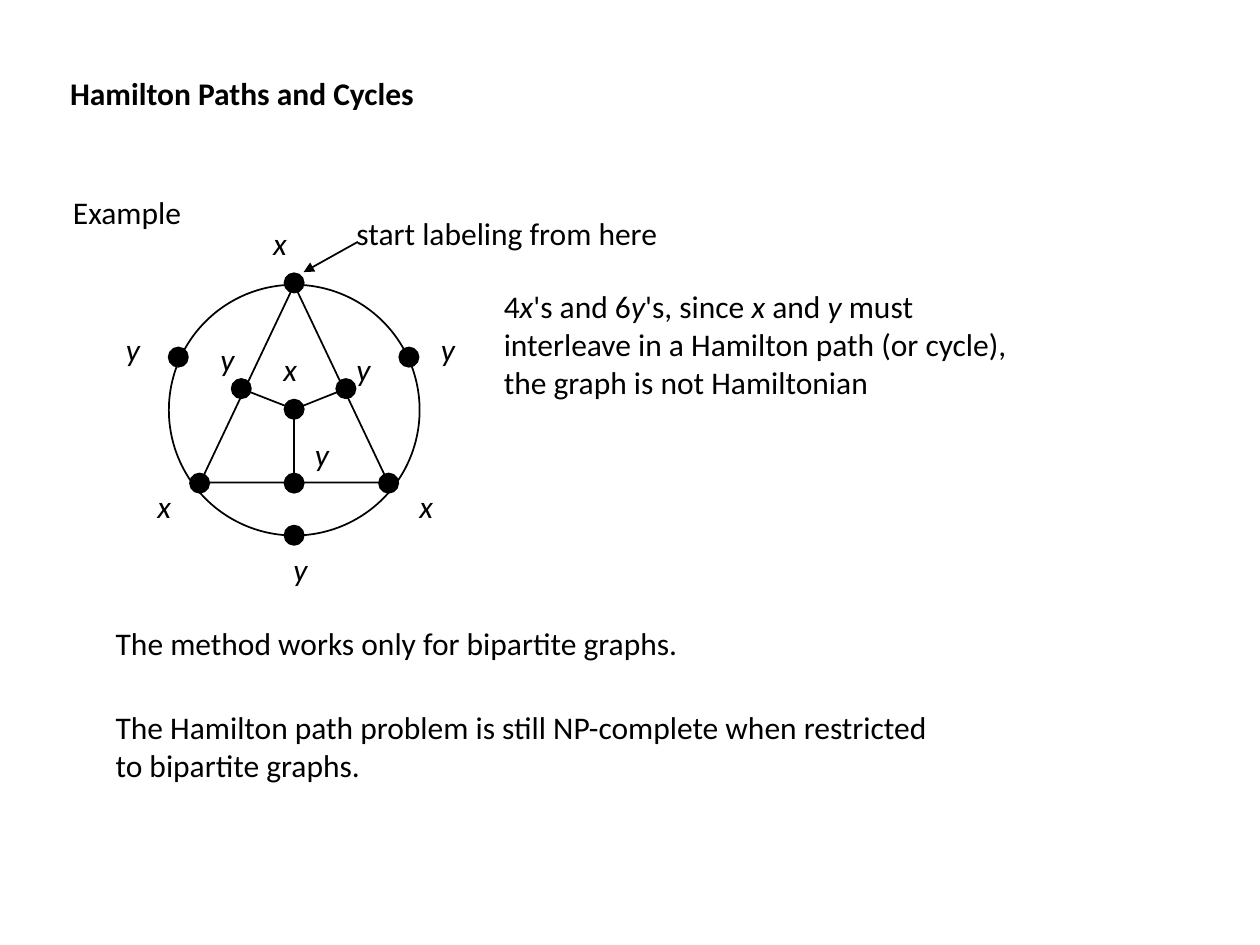
import pptx
import pptx.util
import pptx.dml.color
import pptx.enum.shapes
import pptx.enum.text
import pptx.oxml.ns
from lxml import etree

Pt = pptx.util.Pt
SHAPE = pptx.enum.shapes.MSO_SHAPE
COLORS = {"ink": "000000"}
TEXT = {"name": "Calibri", "size": Pt(18)}
FRAME = {"word_wrap": False,
         "auto_size": pptx.enum.text.MSO_AUTO_SIZE.SHAPE_TO_FIT_TEXT}
DOT = 11

# Dot centres of the graph
NODES = {
    "top": (168.1, 161.7), "left": (114.1, 276.1), "right": (222.1, 276.1),
    "base": (168.1, 276.1), "hub": (168.1, 233.9), "bottom": (168.1, 305.9),
    "outer left": (101.9, 204.1), "outer right": (233.7, 204.1),
    "inner right": (197.7, 222.1), "inner left": (137.9, 222.1),
}
SPOKES = ["inner left", "inner right", "base"]

# Vertex letters with the left and top of their boxes
LABELS = [
    ("x", 149, 124.6), ("y", 244.8, 185), ("y", 64.8, 185),
    ("y", 118.8, 190.8), ("y", 196.6, 196.6), ("x", 82.8, 275),
    ("x", 232.6, 275), ("x", 154.8, 196.6), ("y", 172.8, 244.8),
    ("y", 160.6, 311),
]

# Other text: left, top, width, height, bold, lines (*...* is italic)
NOTES = [
    (33, 38.9, 213, 28.8, True, ["Hamilton Paths and Cycles"]),
    (34.6, 106.6, 77, 28.8, False, ["Example"]),
    (196.6, 118.8, 238.3, 36, False, ["start labeling from here"]),
    (280.8, 160.6, 398.2, 93.6, False, [
        "4*x*'s and 6*y*'s, since *x* and *y* must",
        "interleave in a Hamilton path (or cycle),",
        "the graph is not Hamiltonian"]),
    (59, 352.8, 438.5, 36, False,
     ["The method works only for bipartite graphs."]),
    (59, 401, 630.7, 64.8, False, [
        "The Hamilton path problem is still NP-complete when restricted",
        "to bipartite graphs."]),
]


def set_all(obj, values):
    for name, value in values.items():
        setattr(obj, name, value)


def color(name):
    return pptx.dml.color.RGBColor.from_string(COLORS[name])


def add_text(s, left, top, width, height, bold, lines):
    tf = s.shapes.add_textbox(Pt(left), Pt(top), Pt(width), Pt(height)).text_frame
    set_all(tf, FRAME)
    for i, line in enumerate(lines):
        p = tf.add_paragraph() if i else tf.paragraphs[0]
        for j, part in enumerate(line.split("*")):
            if part:
                r = p.add_run()
                r.text = part
                set_all(r.font, {**TEXT, "bold": bold, "italic": j % 2 == 1})
                r.font.color.rgb = color("ink")


def add_shape(s, kind, left, top, width, height, filled=False):
    sp = s.shapes.add_shape(kind, Pt(left), Pt(top), Pt(width), Pt(height))
    sp.shadow.inherit = False
    if filled:
        sp.fill.solid()
        sp.fill.fore_color.rgb = color("ink")
    else:
        sp.fill.background()
    sp.line.color.rgb = color("ink")
    sp.line.width = Pt(1)


def add_line(s, start, end, arrow=False):
    line = s.shapes.add_connector(pptx.enum.shapes.MSO_CONNECTOR.STRAIGHT,
                                  *[Pt(v) for v in start + end])
    line.line.color.rgb = color("ink")
    line.line.width = Pt(1)
    qn = pptx.oxml.ns.qn
    if arrow:
        etree.SubElement(line.line._get_or_add_ln(), qn("a:tailEnd"), type="triangle")
    etree.SubElement(line._element.spPr, qn("a:effectLst"))


def main():
    prs = pptx.Presentation()
    set_all(prs, {"slide_width": Pt(720), "slide_height": Pt(540)})
    s = prs.slides.add_slide(prs.slide_layouts[6])

    # Graph: outer cycle, triangle, vertices and spokes
    add_shape(s, SHAPE.OVAL, 96.5, 162.7, 143.3, 143.3)
    add_shape(s, SHAPE.ISOSCELES_TRIANGLE, 114.5, 162.7, 107.3, 113)
    for x, y in NODES.values():
        add_shape(s, SHAPE.OVAL, x - DOT / 2, y - DOT / 2, DOT, DOT, True)
    for name in SPOKES:
        add_line(s, NODES["hub"], NODES[name])

    # Vertex letters and the pointer to the first one
    for letter, left, top in LABELS:
        add_text(s, left, top, 25.2, 36, False, [f"*{letter}*"])
    add_line(s, (204.5, 138.2), (173.5, 155.5), arrow=True)

    # Title, captions and remarks
    for note in NOTES:
        add_text(s, *note)

    prs.save("out.pptx")


if __name__ == "__main__":
    main()
